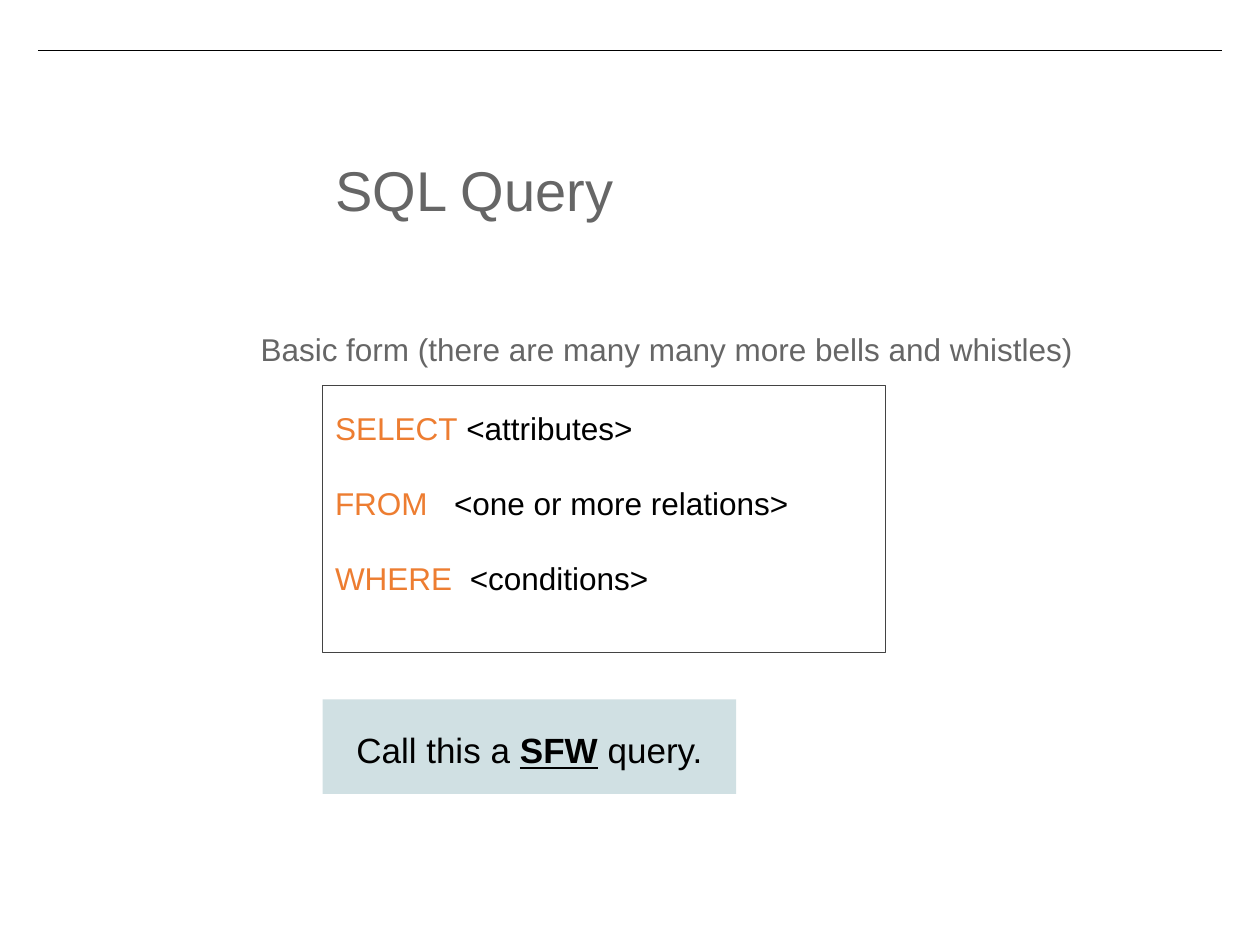
import pptx
import pptx.dml.color
import pptx.enum.shapes
import pptx.enum.text
import pptx.oxml.ns
import pptx.util
from lxml import etree

Pt = pptx.util.Pt
ALIGN = pptx.enum.text.PP_ALIGN
ANCHOR = pptx.enum.text.MSO_ANCHOR
qn = pptx.oxml.ns.qn

GREY, BLACK, ORANGE = "666666", "000000", "ED7D31"


def color(hex_string):
    return pptx.dml.color.RGBColor.from_string(hex_string)


class QueryPage:
    """Holds the text style and the current slide."""

    font_name = "Arial"
    inset = 7.2
    line_spacing = 1.15

    def __init__(self, deck):
        self.page = deck.slides.add_slide(deck.slide_layouts[5])

    def set_frame(self, shape, anchor):
        frame = shape.text_frame
        frame.word_wrap = True
        frame.auto_size = pptx.enum.text.MSO_AUTO_SIZE.NONE
        frame.vertical_anchor = anchor
        for side in ("left", "top", "right", "bottom"):
            setattr(frame, f"margin_{side}", Pt(self.inset))
        return frame

    def add_span(self, para, text, size, hex_string, strong=False):
        """Add one run; a strong run is bold and underlined."""
        span = para.add_run()
        span.text = text
        span.font.name = self.font_name
        span.font.size = Pt(size)
        span.font.color.rgb = color(hex_string)
        span.font.bold = strong
        span.font.underline = strong

    def add_tab_stop(self, para, position):
        tabs = etree.SubElement(para._p.get_or_add_pPr(), qn("a:tabLst"))
        etree.SubElement(tabs, qn("a:tab"), pos=str(Pt(position)), algn="l")

    def rule(self, left, right, y):
        line = self.page.shapes.add_connector(
            pptx.enum.shapes.MSO_CONNECTOR.STRAIGHT, Pt(left), Pt(y), Pt(right), Pt(y))
        line.line.color.rgb = color(BLACK)
        line.line.width = Pt(0.75)
        etree.SubElement(line._element.spPr, qn("a:effectLst"))

    def title(self, text, left, top, width, height):
        title = self.page.shapes.title
        title.left, title.top = Pt(left), Pt(top)
        title.width, title.height = Pt(width), Pt(height)
        para = self.set_frame(title, ANCHOR.TOP).paragraphs[0]
        para.alignment = ALIGN.LEFT
        self.add_span(para, text, 32, GREY)

    def caption(self, text, left, top, width, height):
        box = self.page.shapes.add_textbox(Pt(left), Pt(top), Pt(width), Pt(height))
        para = self.set_frame(box, ANCHOR.MIDDLE).paragraphs[0]
        para.line_spacing = self.line_spacing
        self.add_span(para, text, 18, GREY)

    def panel(self, left, top, width, height, fill=None, outline=None):
        box = self.page.shapes.add_shape(
            pptx.enum.shapes.MSO_SHAPE.RECTANGLE, Pt(left), Pt(top), Pt(width), Pt(height))
        box.shadow.inherit = False
        if fill:
            box.fill.solid()
            box.fill.fore_color.rgb = color(fill)
        else:
            box.fill.background()
        if outline:
            box.line.color.rgb = color(outline)
            box.line.width = Pt(0.75)
        else:
            box.line.fill.background()
        return box

    def query_form(self, clauses, left, top, width, height):
        """Draw a framed query: keyword, optional tab stop and argument per line."""
        box = self.panel(left, top, width, height, outline="434343")
        frame = self.set_frame(box, ANCHOR.TOP)
        frame.margin_top = Pt(10)
        for index, (keyword, tab_stop, argument) in enumerate(clauses):
            para = frame.paragraphs[0] if index == 0 else frame.add_paragraph()
            para.alignment = ALIGN.LEFT
            para.line_spacing = self.line_spacing
            if index:
                para.space_before = Pt(18)
            if tab_stop:
                self.add_tab_stop(para, tab_stop)
            self.add_span(para, keyword, 18, ORANGE)
            self.add_span(para, ("\t" if tab_stop else " ") + argument, 18, BLACK)

    def callout(self, before, term, after, left, top, width, height):
        box = self.panel(left, top, width, height, fill="D0E0E3")
        para = self.set_frame(box, ANCHOR.MIDDLE).paragraphs[0]
        para.alignment = ALIGN.CENTER
        para.line_spacing = self.line_spacing
        self.add_span(para, before, 20, BLACK)
        self.add_span(para, term, 20, BLACK, strong=True)
        self.add_span(para, after, 20, BLACK)


def main():
    deck = pptx.Presentation()
    deck.slide_width, deck.slide_height = Pt(720), Pt(540)
    left = 184.4

    page = QueryPage(deck)
    page.rule(21.6, 698.4, 28.8)
    page.title("SQL Query", left, 81.4, 430, 91.4)
    page.caption("Basic form (there are many many more bells and whistles)",
                 141.8, 152, 529.2, 91.4)
    page.query_form([
        ("SELECT", None, "<attributes>"),
        ("FROM", 68, "<one or more relations>"),
        ("WHERE", 77, "<conditions>"),
    ], left, 220.3, 321.8, 152.6)
    page.callout("Call this a ", "SFW", " query.", left, 399.6, 236.2, 54)

    deck.save("out.pptx")


if __name__ == "__main__":
    main()
